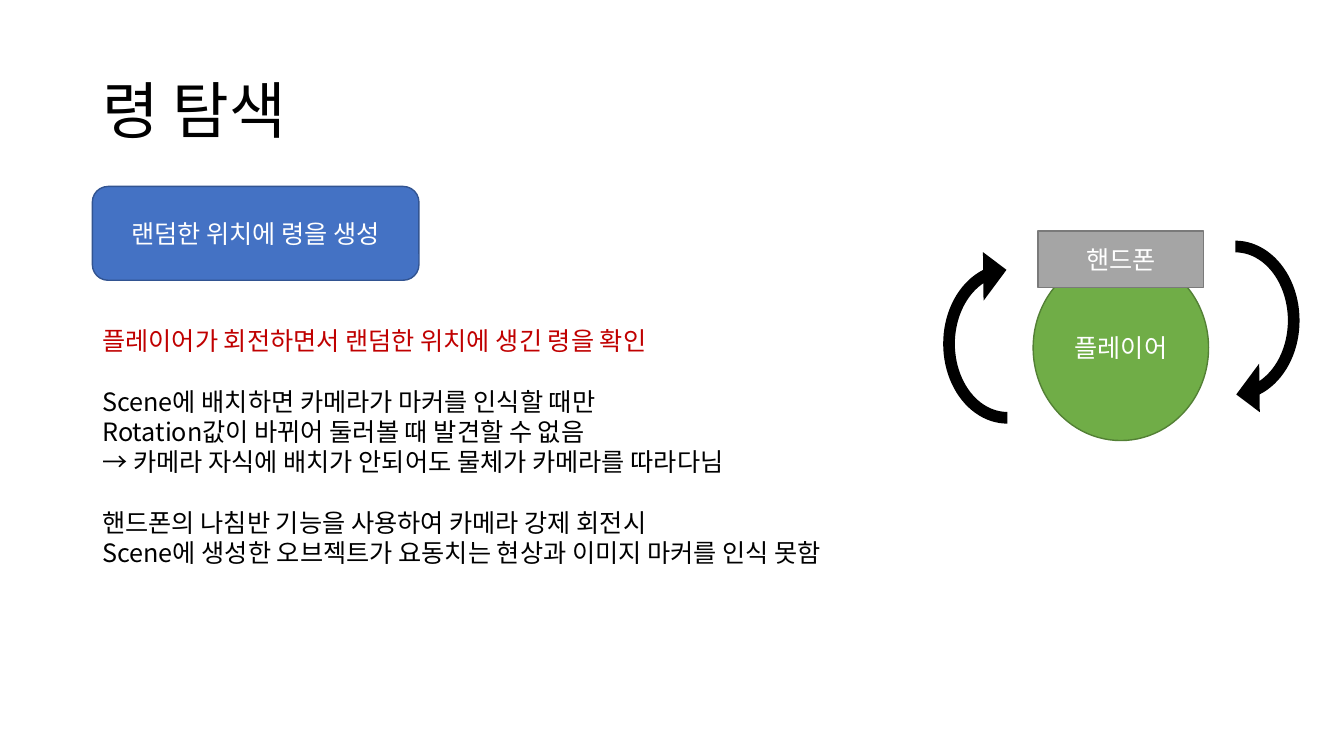
from lxml import etree
from pptx import Presentation
from pptx.dml.color import RGBColor
from pptx.enum import shapes, text
from pptx.oxml import ns
from pptx.util import Pt

FONT = "Noto Sans CJK KR"
BLACK = RGBColor(0x00, 0x00, 0x00)
WHITE = RGBColor(0xFF, 0xFF, 0xFF)
RED = RGBColor(0xC0, 0x00, 0x00)
BLUE, BLUE_EDGE = RGBColor(0x44, 0x72, 0xC4), RGBColor(0x32, 0x54, 0x91)
GREEN, GREEN_EDGE = RGBColor(0x70, 0xAD, 0x47), RGBColor(0x53, 0x80, 0x35)
GRAY, GRAY_EDGE = RGBColor(0xA5, 0xA5, 0xA5), RGBColor(0x7A, 0x7A, 0x7A)

# Content
TITLE = "령 탐색"
NOTES = [  # groups of lines, each with its colour
    (RED, ["플레이어가 회전하면서 랜덤한 위치에 생긴 령을 확인"]),
    (BLACK, ["Scene에 배치하면 카메라가 마커를 인식할 때만",
             "Rotation값이 바뀌어 둘러볼 때 발견할 수 없음",
             "→ 카메라 자식에 배치가 안되어도 물체가 카메라를 따라다님"]),
    (BLACK, ["핸드폰의 나침반 기능을 사용하여 카메라 강제 회전시",
             "Scene에 생성한 오브젝트가 요동치는 현상과 이미지 마커를 인식 못함"]),
]
KIND = shapes.MSO_SHAPE
LABELLED = [  # label, kind, (left, top, width, height), fill, edge
    ("랜덤한 위치에 령을 생성", KIND.ROUNDED_RECTANGLE, (66, 133.2, 233.3, 67), BLUE, BLUE_EDGE),
    ("플레이어", KIND.OVAL, (738, 182.2, 125.3, 132.5), GREEN, GREEN_EDGE),
    ("핸드폰", KIND.RECTANGLE, (741.6, 164.9, 118.1, 40.3), GRAY, GRAY_EDGE),
]
TURN_ARROWS = [(649.4, 186.5, 270), (812.2, 169.9, 90)]  # left, top, rotation
TURN_SIZE = (140.4, 118.1)
TURN_BEND = (0.071, 11.423, 204.17, 108, 0.147)
BODY_SIZE, TITLE_SIZE, BLANK_LINE = 18, 44, 21.6

deck = Presentation()
deck.slide_width, deck.slide_height = Pt(960), Pt(540)
slide = deck.slides.add_slide(deck.slide_layouts[6])


def style(paragraph, size, color):
    font = paragraph.font
    font.name, font.size, font.color.rgb = FONT, Pt(size), color
    latin = paragraph._p.pPr.find(ns.qn("a:defRPr")).find(ns.qn("a:latin"))
    east_asian = etree.Element(ns.qn("a:ea"), typeface=FONT)
    latin.addnext(east_asian)


def add_filled(kind, box, fill):
    shape = slide.shapes.add_shape(kind, *map(Pt, box))
    shape.shadow.inherit = False
    shape.fill.solid()
    shape.fill.fore_color.rgb = fill
    return shape


# Title
title = slide.shapes.add_textbox(Pt(66), Pt(28.8), Pt(828), Pt(104.4)).text_frame
title.word_wrap = True
title.vertical_anchor = text.MSO_ANCHOR.MIDDLE
title.text = TITLE
title.paragraphs[0].line_spacing = 0.9
style(title.paragraphs[0], TITLE_SIZE, BLACK)

# Notes: a blank line's height separates the groups
notes = slide.shapes.add_textbox(Pt(66), Pt(229), Pt(594), Pt(181.4)).text_frame
notes.word_wrap = False
notes.auto_size = text.MSO_AUTO_SIZE.SHAPE_TO_FIT_TEXT
for group, (color, lines) in enumerate(NOTES):
    for row, line in enumerate(lines):
        first = group == row == 0
        paragraph = notes.paragraphs[0] if first else notes.add_paragraph()
        paragraph.text = line
        if group and row == 0:
            paragraph.space_before = Pt(BLANK_LINE)
        style(paragraph, BODY_SIZE, color)

# Labelled shapes
for label, kind, box, fill, edge in LABELLED:
    shape = add_filled(kind, box, fill)
    shape.line.color.rgb = edge
    shape.line.width = Pt(1)
    frame = shape.text_frame
    frame.vertical_anchor = text.MSO_ANCHOR.MIDDLE
    frame.text = label
    frame.paragraphs[0].alignment = text.PP_ALIGN.CENTER
    style(frame.paragraphs[0], BODY_SIZE, WHITE)

# Turning arrows around the player
for left, top, rotation in TURN_ARROWS:
    arrow = add_filled(KIND.CIRCULAR_ARROW, (left, top, *TURN_SIZE), BLACK)
    arrow.line.fill.background()
    arrow.rotation = rotation
    for index, bend in enumerate(TURN_BEND):
        arrow.adjustments[index] = bend

deck.save("out.pptx")
